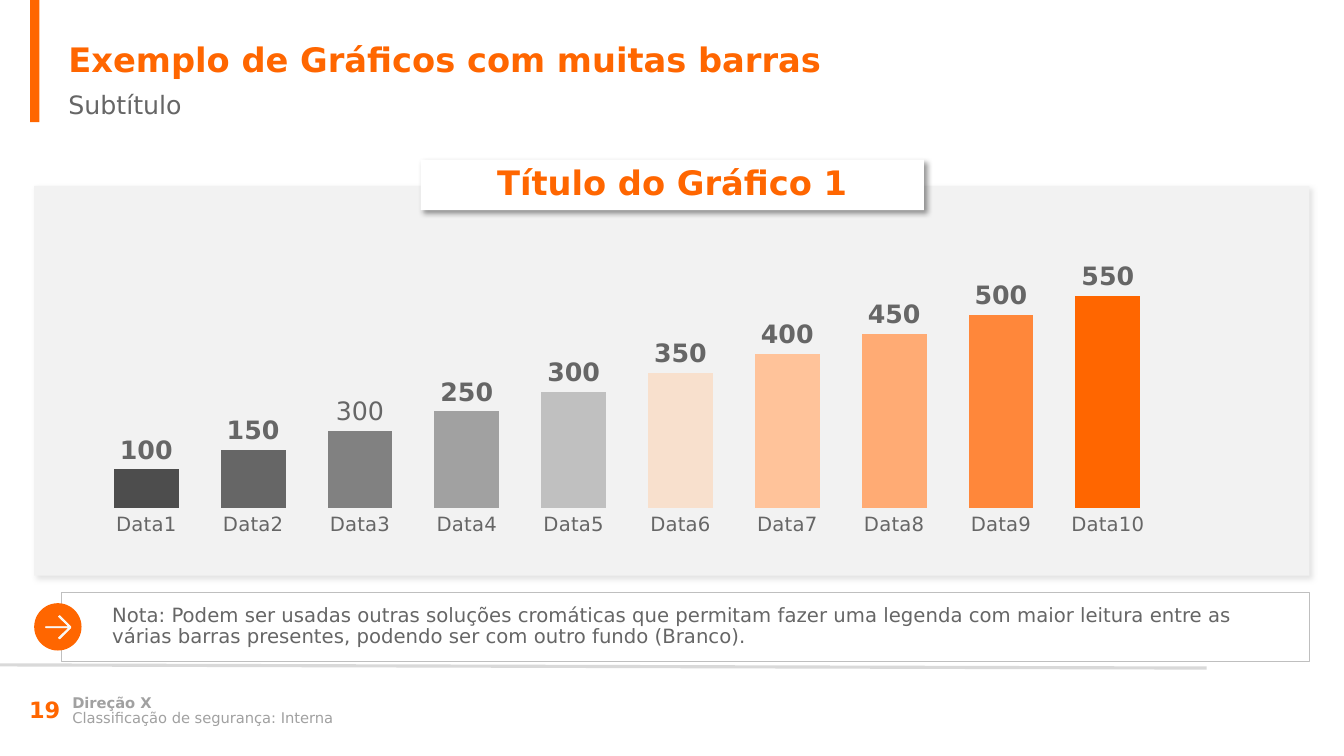
from lxml import etree
from pptx import Presentation
from pptx.chart.data import CategoryChartData
from pptx.dml.color import RGBColor
from pptx.enum.chart import XL_CHART_TYPE as ChartType, XL_LABEL_POSITION as LabelPosition
from pptx.enum.chart import XL_TICK_MARK as TickMark
from pptx.enum.shapes import MSO_CONNECTOR as Connector, MSO_SHAPE as Shape
from pptx.enum.text import MSO_ANCHOR as Anchor, PP_ALIGN as Align
from pptx.oxml import parse_xml
from pptx.oxml.ns import nsdecls, qn
from pptx.util import Cm, Pt

FONT = "DejaVu Sans"
COLORS = {
    "orange": "FF6600", "text": "666666", "footer": "A1A1A1", "rule": "D9D9D9",
    "border": "BFBFBF", "panel": "F2F2F2", "white": "FFFFFF", "black": "000000",
}
BAR_COLORS = ["4D4D4D", "666666", "818181", "A1A1A1", "C0C0C0",
              "F8E0CD", "FFC39A", "FFAB74", "FF873A", "FF6600"]

deck = Presentation()
deck.slide_width, deck.slide_height = Cm(33.78), Cm(19)
page = deck.slides.add_slide(deck.slide_layouts[6])


def add_block(kind, place, fill=None, line=None, shadow=None):
    block = page.shapes.add_shape(kind, *[Cm(length) for length in place])
    block.shadow.inherit = False
    if fill:
        block.fill.solid()
        block.fill.fore_color.rgb = RGBColor.from_string(COLORS[fill])
    else:
        block.fill.background()
    if line:
        block.line.color.rgb = RGBColor.from_string(COLORS[line])
        block.line.width = Pt(0.5)
    else:
        block.line.fill.background()
    if shadow:
        color, alpha = shadow
        effects = block._element.spPr.find(qn("a:effectLst"))
        effects.append(parse_xml(
            f'<a:outerShdw {nsdecls("a")} blurRad="50800" dist="38100" dir="2700000" '
            f'algn="tl" rotWithShape="0"><a:srgbClr val="{COLORS[color]}">'
            f'<a:alpha val="{alpha * 1000}"/></a:srgbClr></a:outerShdw>'))
    return block


def write(box, text, size, color, bold=False, anchor=Anchor.MIDDLE, spacing=1.0, align=Align.LEFT):
    frame = box.text_frame
    frame.word_wrap = True
    frame.vertical_anchor = anchor
    frame.text = text
    para = frame.paragraphs[0]
    para.alignment = align
    para.line_spacing = spacing
    span = para.runs[0]
    span.font.name, span.font.size, span.font.bold = FONT, Pt(size), bold
    span.font.color.rgb = RGBColor.from_string(COLORS[color])


# Accent bar and footer rule
add_block(Shape.RECTANGLE, (0.76, 0, 0.23, 3.07), "orange")
rule = page.shapes.add_connector(Connector.STRAIGHT, Cm(0), Cm(16.71), Cm(30.33), Cm(16.79))
rule.line.color.rgb = RGBColor.from_string(COLORS["rule"])
rule.line.width = Pt(2.25)
etree.SubElement(rule._element.spPr, qn("a:effectLst"))

# Chart panel, note frame and round arrow badge
add_block(Shape.RECTANGLE, (0.86, 4.67, 32.05, 9.8), "panel", shadow=("border", 43))
add_block(Shape.RECTANGLE, (1.55, 14.88, 31.37, 1.75), line="border")
add_block(Shape.OVAL, (0.86, 15.16, 1.19, 1.19), "orange")
arrow_points = [(1.47, 15.5), (1.73, 15.75), (1.16, 15.75), (1.14, 15.76), (1.16, 15.78),
                (1.73, 15.78), (1.47, 16.03), (1.5, 16.06), (1.78, 15.78), (1.78, 15.75)]
outline = page.shapes.build_freeform(Cm(1.5), Cm(15.47))
outline.add_line_segments([(Cm(x), Cm(y)) for x, y in arrow_points], close=True)
arrow = outline.convert_to_shape()
arrow.shadow.inherit = False
arrow.fill.solid()
arrow.fill.fore_color.rgb = RGBColor.from_string(COLORS["panel"])
arrow.line.color.rgb = RGBColor.from_string(COLORS["white"])
arrow.line.width = Pt(0.42)

# Chart title plate
plate = add_block(Shape.RECTANGLE, (10.57, 4.01, 12.65, 1.27), "white", shadow=("black", 40))
write(plate, "Título do Gráfico 1", 24, "orange", True, spacing=0.85, align=Align.CENTER)

# Headings, note and footer: place, text, size, colour, bold, anchor, line spacing
note = ("Nota: Podem ser usadas outras soluções cromáticas que permitam fazer uma legenda "
        "com maior leitura entre as várias barras presentes, podendo ser com outro fundo (Branco).")
texts = [
    ((1.47, 0.86, 31.55, 1.27), "Exemplo de Gráficos com muitas barras", 24, "orange", True, Anchor.TOP, 1.0),
    ((1.47, 2.13, 31.55, 1.02), "Subtítulo", 18, "text", False, Anchor.TOP, 1.0),
    ((2.57, 15.19, 29.62, 1.12), note, 14, "text", False, Anchor.MIDDLE, 0.9),
    ((0.48, 17.32, 1.75, 1.02), "19", 16, "orange", True, Anchor.MIDDLE, 1.0),
    ((1.57, 17.37, 19.13, 0.64), "Direção X", 10.5, "footer", True, Anchor.MIDDLE, 0.85),
    ((1.57, 17.75, 19.13, 0.64), "Classificação de segurança: Interna", 10.5, "footer", False,
     Anchor.MIDDLE, 0.85),
]
for place, *style in texts:
    write(page.shapes.add_textbox(*[Cm(length) for length in place]), *style)

# Column chart with a free slot after the last bar
data = CategoryChartData()
data.categories = [f"Data{number}" for number in range(1, 11)] + [""]
data.add_series("Series 1", [*range(100, 551, 50), None])
chart = page.shapes.add_chart(ChartType.COLUMN_CLUSTERED, Cm(1.57), Cm(6.32),
                              Cm(30.61), Cm(7.7), data).chart
chart.has_legend = False
chart.has_title = False
chart.font.name, chart.font.size = FONT, Pt(10)
chart.font.color.rgb = RGBColor.from_string(COLORS["text"])

# Axes
names, values = chart.category_axis, chart.value_axis
names.major_tick_mark = TickMark.NONE
names.format.line.fill.background()
names.tick_labels.font.name, names.tick_labels.font.size = FONT, Pt(14)
names.tick_labels.font.color.rgb = RGBColor.from_string(COLORS["text"])
values.minimum_scale, values.maximum_scale = 0, 600
values.has_major_gridlines = False
values.visible = False

# Bars and their labels
plot = chart.plots[0]
plot.vary_by_categories = False
plot.gap_width, plot.overlap = 65, 94
series = plot.series[0]
series.format.fill.solid()
series.format.fill.fore_color.rgb = RGBColor.from_string(COLORS["border"])
for index, color in enumerate(BAR_COLORS):
    bar_fill = series.points[index].format.fill
    bar_fill.solid()
    bar_fill.fore_color.rgb = RGBColor.from_string(color)
labels = series.data_labels
labels.show_value = True
labels.position = LabelPosition.OUTSIDE_END
labels.font.name, labels.font.size, labels.font.bold = FONT, Pt(18), True
labels.font.color.rgb = RGBColor.from_string(COLORS["text"])
third_label = series.points[2].data_label
third_label.text_frame.text = "300"
third_label.position = LabelPosition.OUTSIDE_END
span = third_label.text_frame.paragraphs[0].runs[0]
span.font.name, span.font.size, span.font.bold = FONT, Pt(18), False
span.font.color.rgb = RGBColor.from_string(COLORS["text"])

# Fixed inner plot area
area = chart._chartSpace.chart.plotArea
for old_layout in area.findall(qn("c:layout")):
    area.remove(old_layout)
area.insert(0, parse_xml(
    f'<c:layout {nsdecls("c")}><c:manualLayout><c:layoutTarget val="inner"/>'
    '<c:xMode val="edge"/><c:yMode val="edge"/><c:x val="0.025"/><c:y val="0.081"/>'
    '<c:w val="0.965"/><c:h val="0.757"/></c:manualLayout></c:layout>'))

deck.save("out.pptx")
